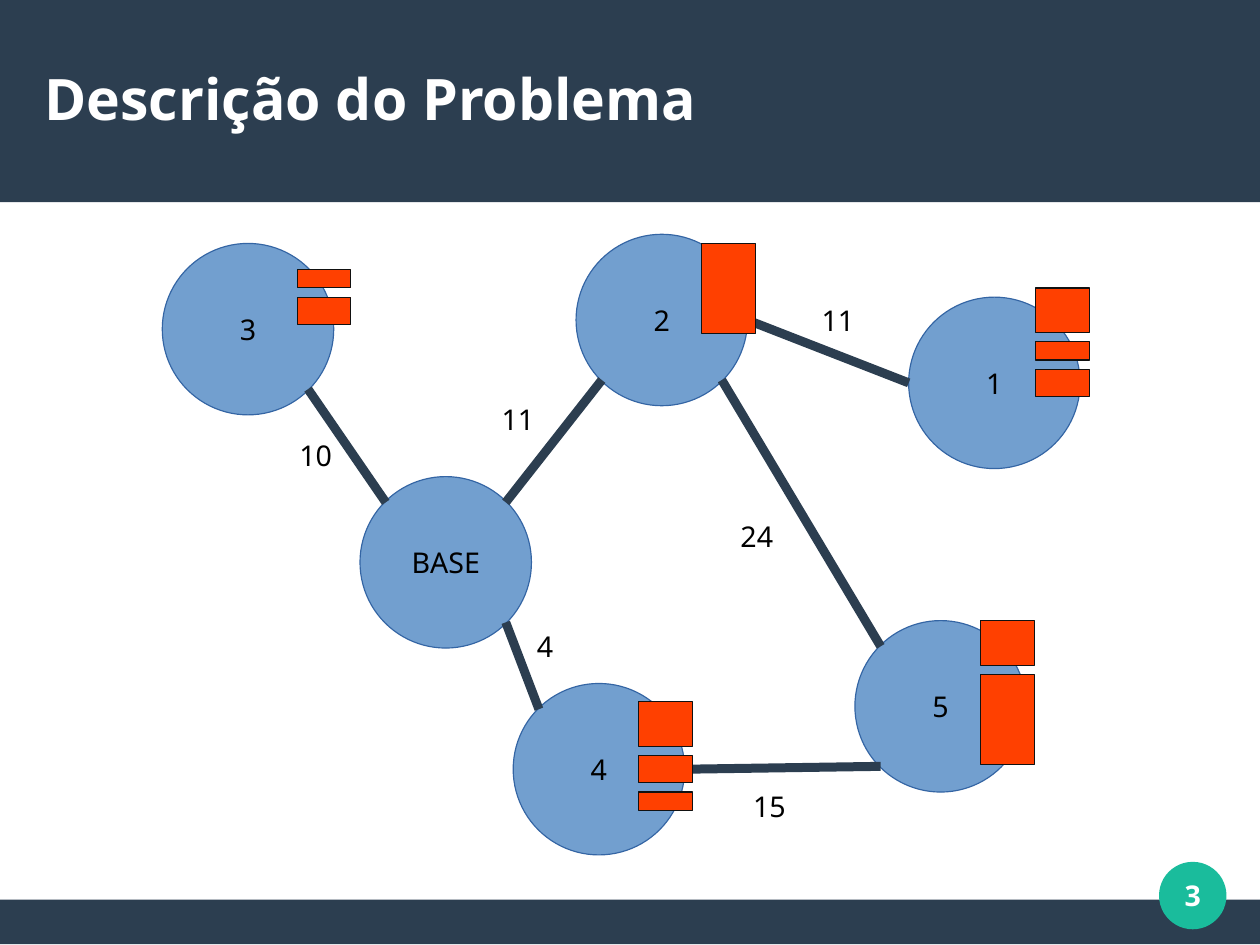
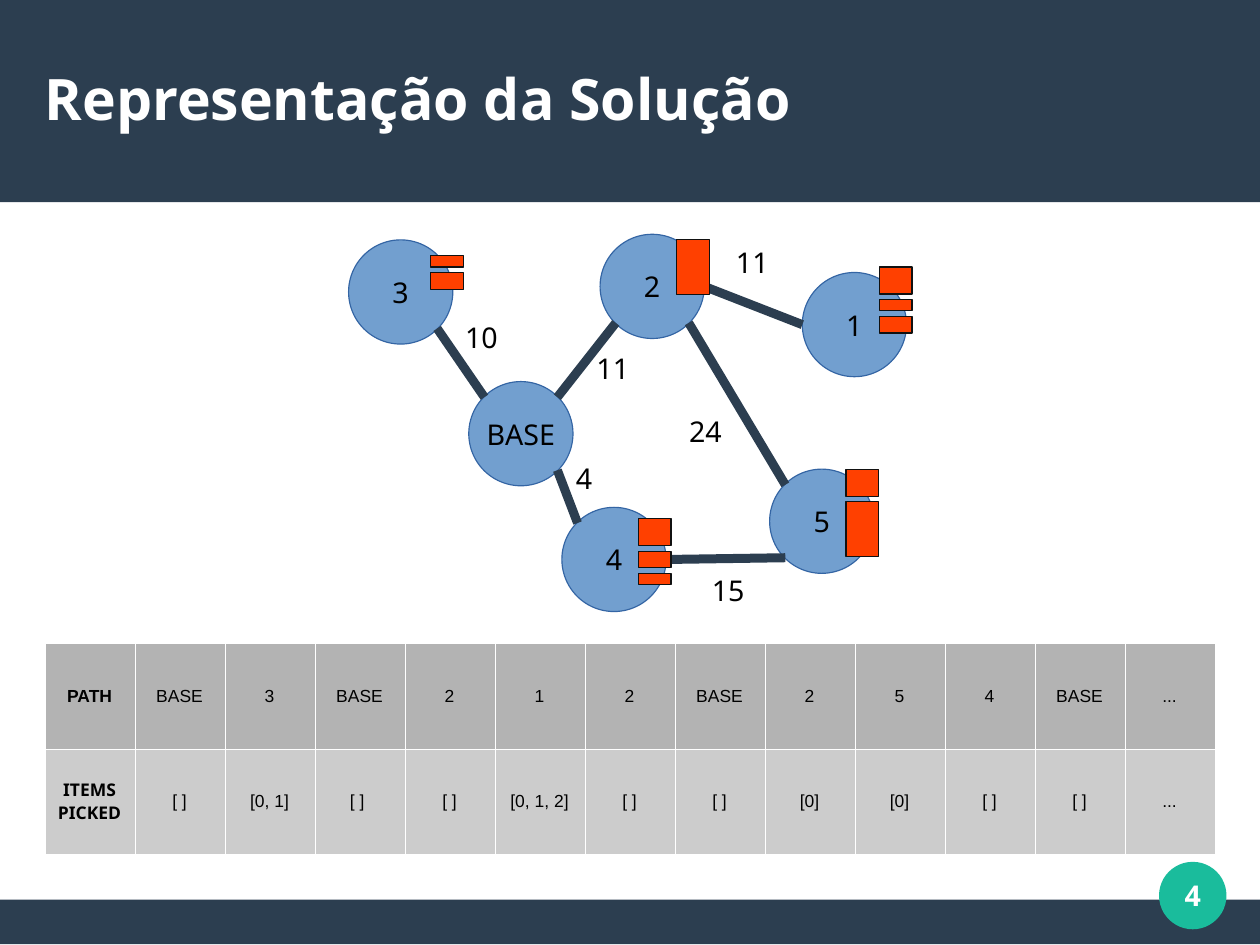
from pptx import Presentation
from pptx import util as u
from pptx.dml.color import RGBColor
from pptx.enum import shapes, text
from pptx.oxml import xmlchemy

Inches, Pt = u.Inches, u.Pt

NAVY = RGBColor(0x2C, 0x3E, 0x50)
TEAL = RGBColor(0x1A, 0xBC, 0x9C)
WHITE = RGBColor(0xFF, 0xFF, 0xFF)
BLACK = RGBColor(0, 0, 0)
NODE_BLUE = RGBColor(0x72, 0x9F, 0xCF)
NODE_LINE = RGBColor(0x34, 0x65, 0xA4)
ITEM_RED = RGBColor(0xFF, 0x40, 0x00)
ITEM_LINE = RGBColor(0x11, 0x11, 0x11)
ROW_FILLS = (RGBColor(0xB3, 0xB3, 0xB3), RGBColor(0xCC, 0xCC, 0xCC))

SANS, TABLE_FONT = "Noto Sans", "Arial"
SLIDE_WIDTH, SLIDE_HEIGHT = u.Cm(28), u.Cm(21)
WIDTH = SLIDE_WIDTH.inches
RECTANGLE = shapes.MSO_SHAPE.RECTANGLE
OVAL = shapes.MSO_SHAPE.OVAL

# Diagram at full scale, in inches from its top left corner.
DIAGRAM_WIDTH = 8.11
NODE_SIZE = 1.5
NODES = {
    "1": (6.53, 0.55),
    "2": (3.62, 0),
    "3": (0, 0.08),
    "4": (3.07, 3.93),
    "5": (6.06, 3.38),
    "BASE": (1.73, 2.12),
}
# Node: offset of its stack of items, then the height of each item.
ITEMS = {
    "1": ((1.11, -0.08), (0.39, 0.16, 0.24)),
    "2": ((1.1, 0.08), (0.79,)),
    "3": ((1.18, 0.23), (0.16, 0.24)),
    "4": ((1.1, 0.16), (0.39, 0.24, 0.16)),
    "5": ((1.1, 0), (0.39, 0.79)),
}
ITEM_WIDTH, ITEM_GAP = 0.47, 0.08
# Points on a node's outline, as fractions of its size.
SITES = {
    "left": (0, 0.5),
    "right": (1, 0.5),
    "top left": (0.15, 0.15),
    "top right": (0.85, 0.15),
    "bottom left": (0.15, 0.85),
    "bottom right": (0.85, 0.85),
}
EDGES = (
    ("3", "bottom right", "BASE", "top left", "10"),
    ("1", "left", "2", "right", "11"),
    ("2", "bottom left", "BASE", "top right", "11"),
    ("2", "bottom right", "5", "top left", "24"),
    ("BASE", "bottom right", "4", "top left", "4"),
    ("5", "bottom left", "4", "right", "15"),
)
# Distance labels, one for each edge, from the corner of the diagram.
LARGE_LABELS = ((1.1, 1.73), (5.67, 0.55), (2.87, 1.42),
                (4.96, 2.44), (3.18, 3.4), (5.07, 4.8))
SMALL_LABELS = ((0.92, 0.7), (3.29, 0.04), (2.07, 0.97),
                (2.88, 1.52), (1.89, 1.93), (3.08, 2.91))

ROUTE = (
    ("PATH", "BASE", "3", "BASE", "2", "1", "2", "BASE", "2", "5", "4",
     "BASE", "..."),
    ("ITEMS PICKED", "[ ]", "[0, 1]", "[ ] ", "[ ]", "[0, 1, 2]", "[ ]",
     "[ ]", "[0]", "[0]", "[ ]", "[ ]", "..."),
)


def write(frame, words, size=18, color=BLACK, bold=False, font=SANS,
          align=text.PP_ALIGN.CENTER):
    paragraph = frame.paragraphs[0]
    paragraph.alignment = align
    run = paragraph.add_run()
    run.text = words
    run.font.size = Pt(size)
    run.font.name = font
    run.font.bold = bold
    run.font.color.rgb = color


def add_block(parent, kind, box, fill, line=None):
    """Add a filled shape, with a hairline if a line colour is given."""
    shape = parent.add_shape(kind, *map(Inches, box))
    shape.shadow.inherit = False
    shape.fill.solid()
    shape.fill.fore_color.rgb = fill
    if line is None:
        shape.line.fill.background()
    else:
        shape.line.color.rgb = line
        shape.line.width = Pt(0)
    return shape


def center_text(shape, words, **style):
    frame = shape.text_frame
    frame.word_wrap = False
    frame.vertical_anchor = text.MSO_ANCHOR.MIDDLE
    write(frame, words, **style)


def add_framed_slide(presentation, title, number):
    """Add a slide with bands, title and page number."""
    slide = presentation.slides.add_slide(presentation.slide_layouts[6])
    add_block(slide.shapes, RECTANGLE, (0, 7.87, WIDTH, 0.39), NAVY)
    add_block(slide.shapes, RECTANGLE, (0, 0, WIDTH, 1.77), NAVY)
    badge = add_block(slide.shapes, OVAL, (10.14, 7.54, 0.59, 0.59), TEAL)
    center_text(badge, str(number), color=WHITE, bold=True)

    title_box = slide.shapes.add_textbox(*map(Inches, (0.39, 0.33, 10.24, 1.05)))
    frame = title_box.text_frame
    frame.word_wrap = True
    frame.vertical_anchor = text.MSO_ANCHOR.MIDDLE
    frame.margin_left = frame.margin_right = 0
    frame.margin_top = frame.margin_bottom = 0
    write(frame, title, 36, WHITE, True, align=text.PP_ALIGN.LEFT)
    return slide


def add_edge(parent, start, end):
    connector = parent.add_connector(
        shapes.MSO_CONNECTOR.STRAIGHT, *map(Inches, start + end))
    connector.line.color.rgb = NAVY
    connector.line.width = Pt(5.67)
    connector._element.spPr.append(xmlchemy.OxmlElement("a:effectLst"))


def add_label(parent, left, top, words):
    box = parent.add_textbox(
        *map(Inches, (left, top, 0.2 + 0.16 * len(words), 0.44)))
    box.text_frame.word_wrap = False
    write(box.text_frame, words, align=text.PP_ALIGN.LEFT)


def add_diagram(parent, left, top, width, labels):
    """Draw nodes, edges, items and distances, scaled to the given width."""
    scale = width / DIAGRAM_WIDTH

    def place(x, y):
        return left + x * scale, top + y * scale

    def site_point(node, site):
        (x, y), (across, down) = NODES[node], SITES[site]
        return place(x + across * NODE_SIZE, y + down * NODE_SIZE)

    size = NODE_SIZE * scale
    for name, corner in NODES.items():
        node = add_block(parent, OVAL, (*place(*corner), size, size),
                         NODE_BLUE, NODE_LINE)
        center_text(node, name)

    for (start, start_site, end, end_site, distance), label in zip(EDGES, labels):
        add_edge(parent, site_point(start, start_site), site_point(end, end_site))
        add_label(parent, left + label[0], top + label[1], distance)

    for name, ((across, down), heights) in ITEMS.items():
        x, y = NODES[name][0] + across, NODES[name][1] + down
        for height in heights:
            box = (*place(x, y), ITEM_WIDTH * scale, height * scale)
            add_block(parent, RECTANGLE, box, ITEM_RED, ITEM_LINE)
            y += height + ITEM_GAP


def set_borders(cell):
    properties = cell._tc.get_or_add_tcPr()
    for index, side in enumerate(("lnL", "lnR", "lnT", "lnB")):
        line = xmlchemy.OxmlElement(f"a:{side}")
        line.set("w", str(Pt(0.06)))
        fill = xmlchemy.OxmlElement("a:solidFill")
        color = xmlchemy.OxmlElement("a:srgbClr")
        color.set("val", str(WHITE))
        fill.append(color)
        line.append(fill)
        properties.insert(index, line)


def add_route_table(slide, left, top, width, height):
    columns = len(ROUTE[0])
    table = slide.shapes.add_table(
        len(ROUTE), columns, *map(Inches, (left, top, width, height))).table
    table.first_row = table.horz_banding = False
    for row, (entries, fill) in enumerate(zip(ROUTE, ROW_FILLS)):
        for column, words in enumerate(entries):
            cell = table.cell(row, column)
            cell.fill.solid()
            cell.fill.fore_color.rgb = fill
            cell.vertical_anchor = text.MSO_ANCHOR.MIDDLE
            font = SANS if words == "ITEMS PICKED" else TABLE_FONT
            write(cell.text_frame, words, 11, bold=column == 0, font=font)
            set_borders(cell)


def main():
    presentation = Presentation()
    presentation.slide_width = SLIDE_WIDTH
    presentation.slide_height = SLIDE_HEIGHT

    problem = add_framed_slide(presentation, "Descrição do Problema", 3)
    add_diagram(problem.shapes, 1.42, 2.05, DIAGRAM_WIDTH, LARGE_LABELS)

    solution = add_framed_slide(presentation, "Representação da Solução", 4)
    group = solution.shapes.add_group_shape()
    add_diagram(group.shapes, 3.05, 2.05, 4.93, SMALL_LABELS)
    add_route_table(solution, 0.39, 5.63, 10.24, 1.84)

    presentation.save("out.pptx")


if __name__ == "__main__":
    main()
